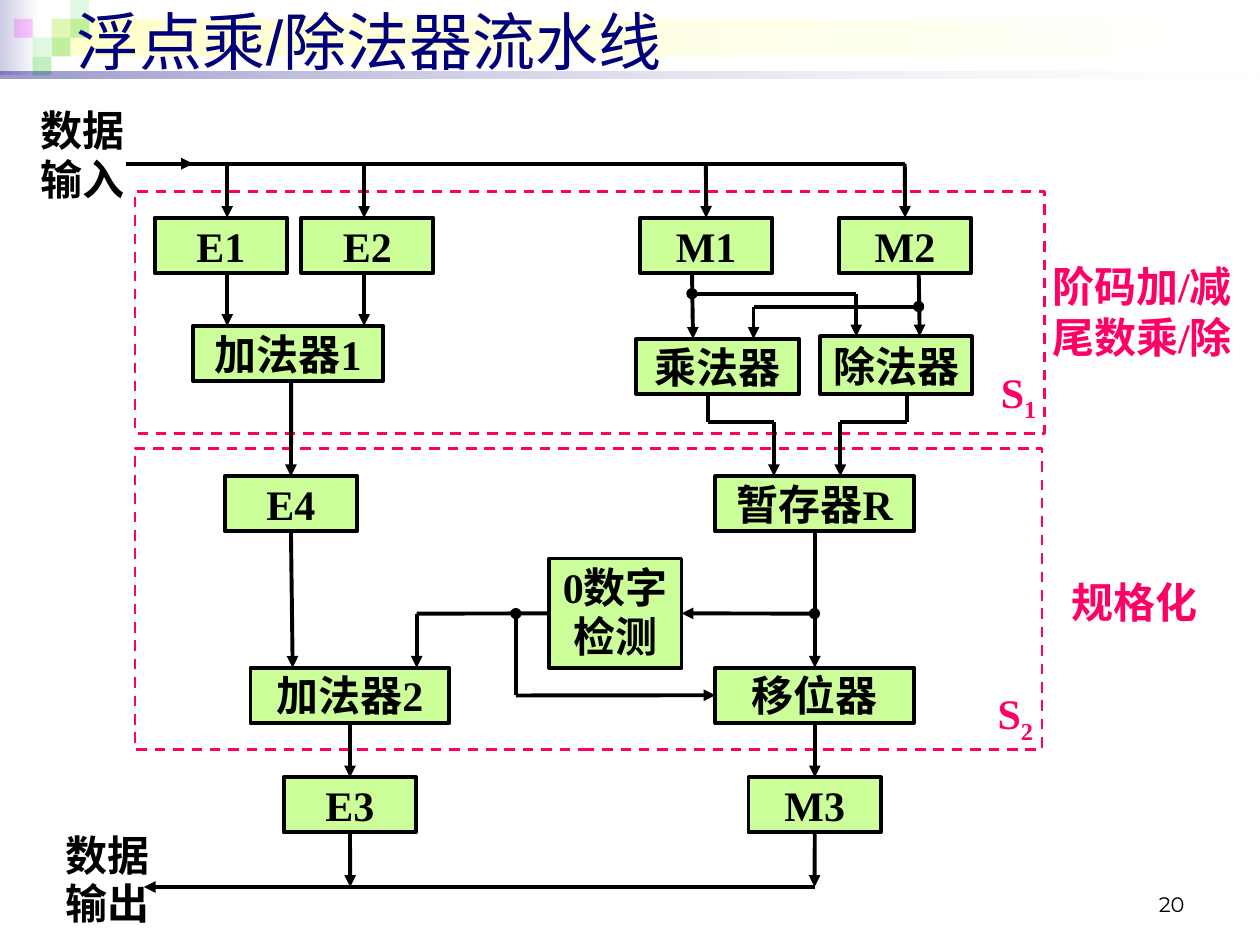
import itertools

import pptx
import pptx.dml.color
import pptx.enum.dml
import pptx.enum.shapes
import pptx.enum.text
import pptx.oxml.ns
import pptx.util
from lxml import etree

Cm = pptx.util.Cm
RGBColor = pptx.dml.color.RGBColor
SHAPE = pptx.enum.shapes.MSO_SHAPE
ALIGN = pptx.enum.text.PP_ALIGN
ANCHOR = pptx.enum.text.MSO_ANCHOR
qn = pptx.oxml.ns.qn

BLACK = RGBColor(0x00, 0x00, 0x00)
WHITE = RGBColor(0xFF, 0xFF, 0xFF)
NAVY = RGBColor(0x00, 0x00, 0x7D)
LAVENDER = RGBColor(0xCC, 0xCC, 0xE6)
CREAM = RGBColor(0xFF, 0xFF, 0xCC)
GREEN = RGBColor(0x33, 0xCC, 0x33)
MAGENTA = RGBColor(0xFF, 0x00, 0xFF)
LIME = RGBColor(0xCC, 0xFF, 0x99)
PINK = RGBColor(0xFF, 0x00, 0x66)

TOP, LEFT, BOTTOM, RIGHT = range(4)


class Diagram:
    font = "Times New Roman"
    text_size = 24
    line_width = 2.25

    def __init__(self, slide):
        self.slide = slide

    def shape(self, kind, left, top, width, height):
        shape = self.slide.shapes.add_shape(kind, Cm(left), Cm(top), Cm(width), Cm(height))
        shape.shadow.inherit = False
        return shape

    def set_opacity(self, shape, *percents):
        colors = shape._element.spPr.iter(qn("a:srgbClr"))
        for color, percent in zip(colors, percents):
            etree.SubElement(color, qn("a:alpha")).set("val", str(percent * 1000))

    def tile(self, left, top, size, color, opacity):
        tile = self.shape(SHAPE.RECTANGLE, left, top, size, size)
        tile.fill.solid()
        tile.fill.fore_color.rgb = color
        tile.line.fill.background()
        self.set_opacity(tile, opacity)

    def gradient_bar(self, left, top, width, height, color, opacities=()):
        bar = self.shape(SHAPE.RECTANGLE, left, top, width, height)
        bar.line.fill.background()
        bar.fill.gradient()
        bar.fill.gradient_angle = 0
        for stop, position, stop_color in zip(bar.fill.gradient_stops, (0, 1), (color, WHITE)):
            stop.position = position
            stop.color.rgb = stop_color
        self.set_opacity(bar, *opacities)

    def format_run(self, run, color, size=None, font=None, bold=True):
        run.font.name = font or self.font
        run.font.size = pptx.util.Pt(size or self.text_size)
        run.font.bold = bold
        run.font.color.rgb = color

    def set_text(self, shape, text, color=BLACK, size=None, font=None, bold=True,
                 align=ALIGN.CENTER, anchor=ANCHOR.MIDDLE, margins=(0, 0), spacing=None):
        frame = shape.text_frame
        frame.word_wrap = True
        frame.vertical_anchor = anchor
        frame.margin_left = frame.margin_right = Cm(margins[0])
        frame.margin_top = frame.margin_bottom = Cm(margins[1])
        frame.text = text
        for paragraph in frame.paragraphs:
            paragraph.alignment = align
            paragraph.line_spacing = spacing
            for run in paragraph.runs:
                self.format_run(run, color, size, font, bold)

    def label(self, left, top, width, height, text, **style):
        label = self.slide.shapes.add_textbox(Cm(left), Cm(top), Cm(width), Cm(height))
        self.set_text(label, text, **style)
        return label

    def stage_label(self, left, top, width, height, number):
        label = self.label(left, top, width, height, "S", color=PINK)
        run = label.text_frame.paragraphs[0].add_run()
        run.text = number
        self.format_run(run, PINK)
        run._r.get_or_add_rPr().set("baseline", "-25000")

    def box(self, text, left, top, width=2.67, height=1.11, spacing=None):
        box = self.shape(SHAPE.RECTANGLE, left, top, width, height)
        box.fill.solid()
        box.fill.fore_color.rgb = LIME
        box.line.color.rgb = BLACK
        box.line.width = pptx.util.Pt(self.line_width)
        self.set_text(box, text, spacing=spacing)
        return box

    def frame(self, left, top, width, height):
        frame = self.shape(SHAPE.RECTANGLE, left, top, width, height)
        frame.fill.background()
        frame.line.color.rgb = PINK
        frame.line.width = pptx.util.Pt(1.5)
        frame.line.dash_style = pptx.enum.dml.MSO_LINE.DASH

    def dot(self, x, y, size=0.2):
        dot = self.shape(SHAPE.FLOWCHART_CONNECTOR, x - size / 2, y - size / 2, size, size)
        dot.fill.solid()
        dot.fill.fore_color.rgb = BLACK
        dot.line.color.rgb = BLACK
        dot.line.width = pptx.util.Pt(0.75)

    def route(self, *points, arrow=True):
        """Lines through (x, y) points or (box, side) joints, with an arrow at the end."""
        for begin, end in itertools.pairwise(points):
            self.line(begin, end, arrow and end is points[-1])

    def line(self, begin, end, arrow):
        joints = [not isinstance(point[0], (int, float)) for point in (begin, end)]
        start, stop = [(0, 0) if joint else point for joint, point in zip(joints, (begin, end))]
        line = self.slide.shapes.add_connector(
            pptx.enum.shapes.MSO_CONNECTOR.STRAIGHT, *map(Cm, start + stop))
        if joints[0]:
            line.begin_connect(*begin)
        if joints[1]:
            line.end_connect(*end)
        line.line.color.rgb = BLACK
        line.line.width = pptx.util.Pt(self.line_width)
        properties = line._element.spPr
        if arrow:
            etree.SubElement(properties.find(qn("a:ln")), qn("a:tailEnd")).set("type", "triangle")
        etree.SubElement(properties, qn("a:effectLst"))


def main():
    presentation = pptx.Presentation()
    presentation.slide_width, presentation.slide_height = Cm(25.4), Cm(19.05)
    diagram = Diagram(presentation.slides.add_slide(presentation.slide_layouts[6]))

    # Header decoration
    diagram.gradient_bar(0, 0, 0.79, 1.52, LAVENDER)
    diagram.gradient_bar(1.04, 0.38, 24.26, 0.76, CREAM)
    tile = 0.38
    for column, row, color, opacity in [
            (1, 1, GREEN, 15), (2, 0, GREEN, 15), (2, 1, GREEN, 30), (0, 2, GREEN, 15),
            (-1, 1, MAGENTA, 20), (1, 2, GREEN, 30), (0, 3, GREEN, 30)]:
        diagram.tile(0.66 + column * tile, row * tile, tile, color, opacity)
    diagram.gradient_bar(0, 1.45, 25.4, 0.13, NAVY, (40, 10))

    # Title and page number
    diagram.label(1.3, -0.08, 23.8, 1.8, "浮点乘/除法器流水线", color=NAVY, size=36,
                  font="Arial", bold=False, align=ALIGN.LEFT, margins=(0.25, 0.13))
    diagram.label(18.21, 17.35, 5.92, 1.27, "20", size=12, font="Montserrat", bold=False,
                  align=ALIGN.RIGHT, anchor=ANCHOR.BOTTOM, margins=(0.25, 0.13))

    # Side labels
    for left, top, width, height, text, color, spacing in [
            (21.18, 5.26, 3.68, 2.29, "阶码加/减\n尾数乘/除", PINK, None),
            (21.56, 11.63, 2.64, 1.14, "规格化", PINK, None),
            (0.51, 2.18, 2.29, 1.96, "数据\n输入", BLACK, 0.96),
            (1.04, 16.79, 2.24, 1.96, "数据\n输出", BLACK, 0.96)]:
        diagram.label(left, top, width, height, text, color=color, spacing=spacing,
                      anchor=ANCHOR.TOP)

    # Stage frames
    diagram.frame(2.72, 3.86, 18.34, 4.88)
    diagram.frame(2.72, 9.04, 18.29, 6.07)
    diagram.stage_label(20.04, 7.34, 0.99, 1.24, "1")
    diagram.stage_label(19.91, 13.77, 1.12, 1.35, "2")

    # Functional units
    input_top, register_top, shift_top, output_top = 4.39, 9.6, 13.46, 15.67
    diagram.box("E1", 3.12, input_top)
    diagram.box("E2", 6.07, input_top)
    m1 = diagram.box("M1", 12.9, input_top)
    m2 = diagram.box("M2", 16.91, input_top)
    diagram.box("加法器1", 3.89, 6.57, 3.84)
    diagram.box("乘法器", 12.83, 6.83, 3.28)
    diagram.box("除法器", 16.54, 6.78, 3.05, 1.17)
    e4 = diagram.box("E4", 4.53, register_top)
    register = diagram.box("暂存器R", 14.42, register_top, 4.01)
    detector = diagram.box("0数字检测", 11.07, 11.26, height=2.21, spacing=0.96)
    adder2 = diagram.box("加法器2", 5.05, shift_top, 4.01)
    shifter = diagram.box("移位器", 14.42, shift_top, 4.01)
    e3 = diagram.box("E3", 5.72, output_top)
    m3 = diagram.box("M3", 15.09, output_top)

    # Input bus
    bus_y, output_y = 3.3, 17.88
    diagram.route((2.54, bus_y), (3.89, bus_y))
    diagram.route((3.48, bus_y), (18.24, bus_y), arrow=False)
    for x in (4.58, 7.34):
        diagram.route((x, bus_y), (x, input_top))
        diagram.route((x, 5.5), (x, 6.57))
    diagram.route((14.23, bus_y), (m1, TOP))
    diagram.route((18.24, bus_y), (m2, TOP))

    # Operands to multiplier and divider
    diagram.route((13.95, 5.5), (13.97, 6.83))
    diagram.route((18.52, 5.5), (18.54, 6.78))
    diagram.route((13.95, 5.92), (17.26, 5.92), (17.26, 6.78))
    diagram.route((18.54, 6.18), (15.19, 6.18), (15.19, 6.83))
    diagram.route((14.27, 7.95), (14.27, 8.51), (15.6, 8.51), (15.6, register_top))
    diagram.route((18.29, 7.95), (18.29, 8.51), (16.94, 8.51), (16.94, register_top))

    # Normalisation
    detect_y = 12.37
    diagram.route((5.87, 7.68), (e4, TOP))
    diagram.route((e4, BOTTOM), (5.9, shift_top))
    diagram.route((register, BOTTOM), (shifter, TOP))
    diagram.route((16.42, detect_y), (detector, RIGHT))
    diagram.route((detector, LEFT), (8.4, detect_y), (8.4, shift_top))
    diagram.route((10.4, detect_y), (10.4, 14.02), (shifter, LEFT))

    # Output bus
    for unit, result in ((adder2, e3), (shifter, m3)):
        diagram.route((unit, BOTTOM), (result, TOP))
    diagram.route((e3, BOTTOM), (7.06, output_y))
    diagram.route((m3, BOTTOM), (16.42, output_y))
    diagram.route((16.42, output_y), (2.9, output_y))

    # Junctions
    for x, y in ((13.95, 5.92), (18.52, 6.18), (10.4, detect_y), (16.42, detect_y)):
        diagram.dot(x, y)

    presentation.save("out.pptx")


if __name__ == "__main__":
    main()
